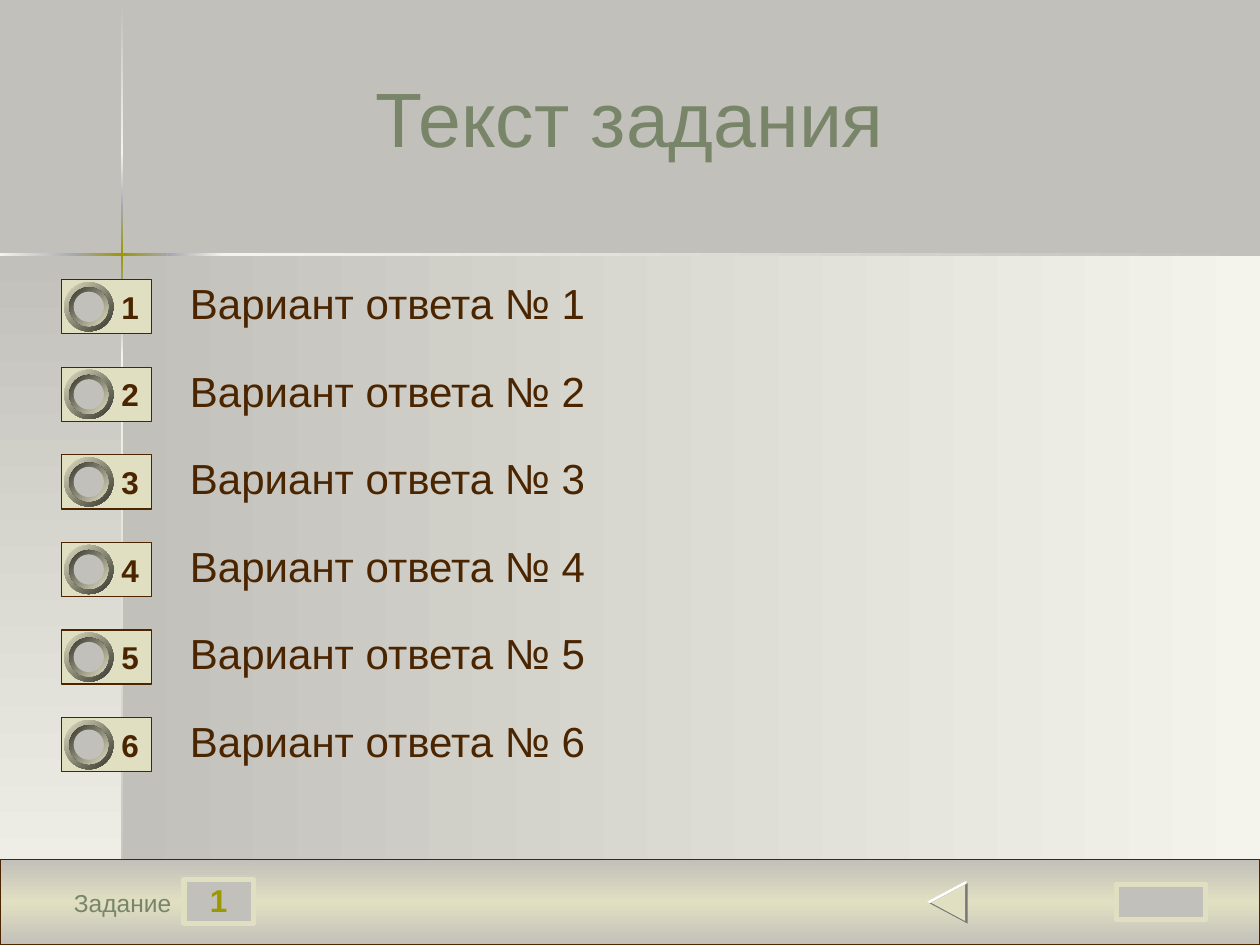
from lxml.etree import SubElement
from pptx import Presentation
from pptx.dml.color import RGBColor
from pptx.enum.shapes import MSO_SHAPE
from pptx.enum.text import MSO_ANCHOR, PP_ALIGN
from pptx.oxml.ns import qn
from pptx.util import Inches, Pt

RECT, OVAL, TRI = MSO_SHAPE.RECTANGLE, MSO_SHAPE.OVAL, MSO_SHAPE.ISOSCELES_TRIANGLE
TOP, MID = MSO_ANCHOR.TOP, MSO_ANCHOR.MIDDLE
LEFT, MIDST, RIGHT = PP_ALIGN.LEFT, PP_ALIGN.CENTER, PP_ALIGN.RIGHT

HEX = {"base": "C2C0BA", "pale": "F4F4EC", "steel": "A5A7AF", "gold": "9C9800",
       "cream": "E1DFC1", "brown": "4A2500", "sage": "788569", "dark": "34342D",
       "white": "FFFFFF", "gray": "777777"}

W, H = 10, 7.5
X, Y, THIN = 0.97, 2.02, 0.02
TITLE = "Текст задания"
TASK, NUM = "Задание", "1"
ITEMS = [f"Вариант ответа № {n}" for n in range(1, 7)]
ROW, STEP = 2.22, 0.695

PANELS = [((X, Y, W - X, H - Y), ("base", "pale"), 0),
          ((0, Y, X, H - Y), ("base", "pale"), 90)]
GLOW = ("steel", "gold", "steel")
DOWN = [(0.01, 1.21, ("base", "pale")), (2.82, H, ("pale", "base")),
        (2.38, 2.82, ("steel", "pale")), (1.21, 1.65, ("pale", "steel")),
        (1.65, 2.38, GLOW)]
ACROSS = [(1.77, W, ("pale", "base")), (0, 0.61, ("pale", "steel")),
          (1.33, 1.77, ("steel", "pale")), (0.6, 1.33, GLOW)]
BANDS = PANELS + [((X - THIN / 2, a, THIN, b - a), c, 90) for a, b, c in DOWN]
BANDS += [((a, Y - THIN / 2, b - a, THIN), c, 0) for a, b, c in ACROSS]
ARROW = [((7.35, 7, 0.33, 0.31), "white"), ((7.37, 7.02, 0.32, 0.3), "gray"),
         ((7.38, 7.03, 0.29, 0.27), "cream")]
RINGS = [(0.39, ("cream", "dark")), (0.31, ("dark", "cream")), (0.24, "base")]


def tone(name):
    return RGBColor.from_string(HEX[name])


def paint(shape, fill, ang=0, line=None):
    shape.shadow.inherit = False
    if isinstance(fill, str):
        shape.fill.solid()
        shape.fill.fore_color.rgb = tone(fill)
    else:
        shape.fill.gradient()
        shape.fill.gradient_angle = -ang % 360
        stops = next(shape._element.spPr.iter(qn("a:gsLst")))
        for stop in list(stops):
            stops.remove(stop)
        for i, name in enumerate(fill):
            stop = SubElement(stops, qn("a:gs"), pos=str(100000 * i // (len(fill) - 1)))
            SubElement(stop, qn("a:srgbClr"), val=HEX[name])
    if line:
        shape.line.color.rgb = tone(line[0])
        shape.line.width = Pt(line[1])
    else:
        shape.line.fill.background()
    return shape


def put(home, kind, box, fill, **look):
    return paint(home.add_shape(kind, *map(Inches, box)), fill, **look)


def band(home, box, fill, ang):
    x, y, w, h = map(Inches, box)
    pen = home.build_freeform(x, y, scale=1)
    pen.add_line_segments([(x, y + h), (x + w, y + h), (x + w, y)], close=True)
    return paint(pen.convert_to_shape(), fill, ang)


def write(shape, text, size, color, align, pad=(0.1, 0.05), anchor=TOP,
          wrap=True, bold=False, **gaps):
    frame = shape.text_frame
    frame.text = text
    form = {"margin_left": Inches(pad[0]), "margin_right": Inches(pad[0]),
            "margin_top": Inches(pad[1]), "margin_bottom": Inches(pad[1]),
            "vertical_anchor": anchor, "word_wrap": wrap}
    for key, val in form.items():
        setattr(frame, key, val)
    para = frame.paragraphs[0]
    for key, val in {"alignment": align, **gaps}.items():
        setattr(para, key, val)
    font = para.runs[0].font
    for key, val in {"name": "Arial", "size": Pt(size), "bold": bold}.items():
        setattr(font, key, val)
    font.color.rgb = tone(color)
    return para


def main():
    deck = Presentation()
    deck.slide_width, deck.slide_height = Inches(W), Inches(H)
    slide = deck.slides.add_slide(deck.slide_layouts[5])
    slide.background.fill.solid()
    slide.background.fill.fore_color.rgb = tone("base")
    all_ = slide.shapes

    title = all_.title
    spot = zip(("left", "top", "width", "height"), (0.5, 0.3, 9, 1.25))
    for key, val in spot:
        setattr(title, key, Inches(val))
    write(title, TITLE, 44, "sage", MIDST, anchor=MID)

    cross = all_.add_group_shape().shapes
    for box, fill, ang in BANDS:
        band(cross, box, fill, ang)

    put(all_, RECT, (0, 6.82, W, H - 6.82), ("base", "cream", "base"),
        ang=90, line=("brown", 0.75))
    frame = ("cream", 3)
    count = put(all_, RECT, (1.46, 6.98, 0.55, 0.35), "base", line=frame)
    write(count, NUM, 18, "gold", MIDST, (0.02, 0.01), bold=True, space_before=Pt(11.2))
    put(all_, RECT, (8.86, 7.02, 0.71, 0.28), "base", line=frame)
    task = all_.add_textbox(*map(Inches, (0.53, 7.05, 0.83, 0.23)))
    write(task, TASK, 14, "sage", RIGHT, (0, 0), space_before=Pt(8.8))

    back = all_.add_group_shape().shapes
    for box, fill in ARROW:
        put(back, TRI, box, fill).rotation = 270

    for i, text in enumerate(ITEMS):
        y = ROW + i * STEP
        label = all_.add_textbox(*map(Inches, (1.41, y - 0.02, 8.07, 0.47)))
        para = write(label, text, 24, "brown", LEFT, line_spacing=0.9, space_before=Pt(6))
        hang = Inches(0.38)
        para._p.get_or_add_pPr().set("marL", str(hang))
        para._p.get_or_add_pPr().set("indent", str(-hang))

        key = all_.add_group_shape().shapes
        cell = put(key, RECT, (0.49, y, 0.71, 0.43), "cream", line=("brown", 0.75))
        write(cell, str(i + 1), 18, "brown", RIGHT, anchor=MID, wrap=False, bold=True)
        for size, fill in RINGS:
            box = (0.705 - size / 2, y + 0.215 - size / 2, size, size)
            put(key, OVAL, box, fill, ang=45)

    deck.save("out.pptx")


if __name__ == "__main__":
    main()
